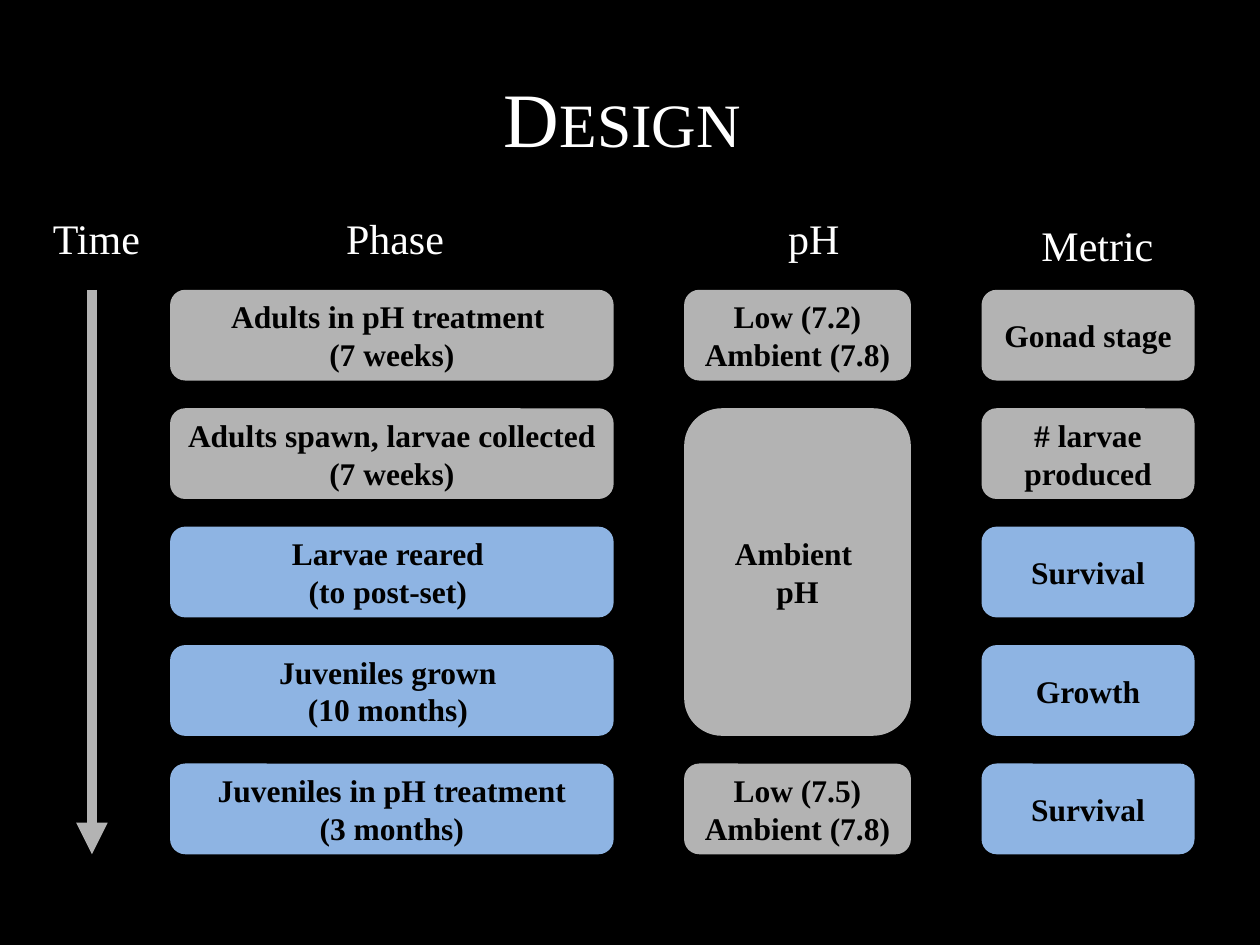
from lxml import etree
from pptx import Presentation
from pptx.dml.color import RGBColor
from pptx.enum.shapes import MSO_CONNECTOR, MSO_SHAPE
from pptx.enum.text import MSO_ANCHOR, PP_ALIGN
from pptx.oxml.ns import qn
from pptx.util import Inches, Pt

ROUNDED = MSO_SHAPE.ROUNDED_RECTANGLE
STRAIGHT = MSO_CONNECTOR.STRAIGHT
MIDDLE = MSO_ANCHOR.MIDDLE
CENTER = PP_ALIGN.CENTER

BLACK = RGBColor(0x00, 0x00, 0x00)
WHITE = RGBColor(0xFF, 0xFF, 0xFF)
GRAY = RGBColor(0xB3, 0xB3, 0xB3)
BLUE = RGBColor(0x8E, 0xB4, 0xE3)

PHASE = (1.35, 3.52)
PH = (5.43, 1.8)
METRIC = (7.79, 1.69)
GRID_TOP, ROW_HEIGHT, ROW_GAP = 2.3, 0.72, 0.22
ROW_COUNT = 5


class DesignSlide:
    font_name = "Times New Roman"

    def __init__(self, presentation):
        self.slide = presentation.slides.add_slide(presentation.slide_layouts[5])
        background = self.slide.background.fill
        background.solid()
        background.fore_color.rgb = BLACK

    def span(self, row, rows=1):
        top = GRID_TOP + row * (ROW_HEIGHT + ROW_GAP)
        return top, rows * ROW_HEIGHT + (rows - 1) * ROW_GAP

    def set_text(self, shape, text, size, color, bold=False):
        frame = shape.text_frame
        frame.text = text
        frame.word_wrap = True
        frame.vertical_anchor = MIDDLE
        for paragraph in frame.paragraphs:
            paragraph.alignment = CENTER
            for run in paragraph.runs:
                run.font.name = self.font_name
                run.font.size = Pt(size)
                run.font.bold = bold
                run.font.color.rgb = color

    def title(self, text):
        title = self.slide.shapes.title
        title.left, title.top = Inches(0.5), Inches(0.3)
        title.width, title.height = Inches(9), Inches(1.25)
        self.set_text(title, text, 44, WHITE)
        for run in title.text_frame.paragraphs[0].runs:
            run._r.get_or_add_rPr().set("cap", "small")

    def rounded(self, left, top, width, height):
        shape = self.slide.shapes.add_shape(
            ROUNDED, Inches(left), Inches(top), Inches(width), Inches(height))
        shape.shadow.inherit = False
        shape.line.fill.background()
        return shape

    def heading(self, text, left, width, top=1.6):
        heading = self.rounded(left, top, width, 0.57)
        heading.fill.background()
        self.set_text(heading, text, 24, WHITE)

    def card(self, text, column, row, color, rows=1):
        left, width = column
        top, height = self.span(row, rows)
        card = self.rounded(left, top, width, height)
        card.fill.solid()
        card.fill.fore_color.rgb = color
        self.set_text(card, text, 18, BLACK, bold=True)

    def time_arrow(self, x):
        top, height = self.span(0, ROW_COUNT)
        arrow = self.slide.shapes.add_connector(
            STRAIGHT, Inches(x), Inches(top), Inches(x), Inches(top + height))
        arrow.line.color.rgb = GRAY
        arrow.line.width = Pt(6)
        etree.SubElement(arrow.line._get_or_add_ln(), qn("a:tailEnd"), type="triangle")
        etree.SubElement(arrow._element.spPr, qn("a:effectLst"))


def main():
    presentation = Presentation()
    presentation.slide_width = Inches(10)
    presentation.slide_height = Inches(7.5)
    design = DesignSlide(presentation)
    design.title("Design ")

    design.heading("Time", 0.29, 0.95)
    design.heading("Phase", 1.31, 3.65)
    design.heading("pH", 5.63, 1.66)
    design.heading("Metric", 7.52, 2.38, top=1.66)
    design.time_arrow(0.73)

    stages = [
        ("Adults in pH treatment \n(7 weeks)", "Gonad stage", GRAY),
        ("Adults spawn, larvae collected \n(7 weeks)", "# larvae produced", GRAY),
        ("Larvae reared \n(to post-set) ", "Survival", BLUE),
        ("Juveniles grown \n(10 months) ", "Growth", BLUE),
        ("Juveniles in pH treatment\n(3 months)", "Survival", BLUE),
    ]
    for row, (phase, metric, color) in enumerate(stages):
        design.card(phase, PHASE, row, color)
        design.card(metric, METRIC, row, color)

    design.card("Low (7.2) Ambient (7.8)", PH, 0, GRAY)
    design.card("Ambient \npH", PH, 1, GRAY, rows=3)
    design.card("Low (7.5) Ambient (7.8)", PH, 4, GRAY)

    presentation.save("out.pptx")


if __name__ == "__main__":
    main()
